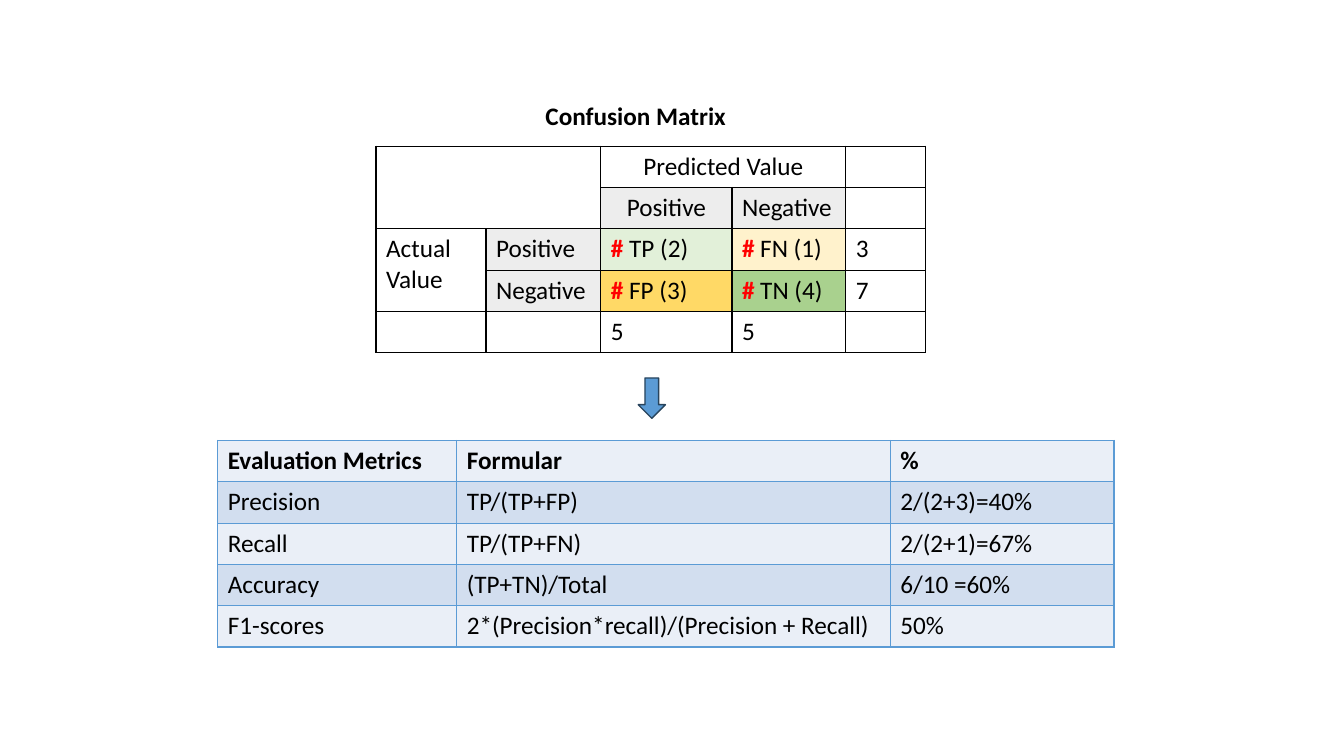
from dataclasses import dataclass, field
from itertools import product
from typing import Any

from lxml.etree import SubElement
from pptx import Presentation
from pptx.dml.color import RGBColor
from pptx.enum.shapes import MSO_SHAPE as Shape
from pptx.enum.text import MSO_ANCHOR as Anchor, MSO_AUTO_SIZE as AutoSize, PP_ALIGN as Align
from pptx.oxml.ns import qn
from pptx.util import Emu, Pt

EMU_PER_PX = 9144

BLACK = RGBColor(0x00, 0x00, 0x00)
WHITE = RGBColor(0xFF, 0xFF, 0xFF)
RED = RGBColor(0xFF, 0x00, 0x00)
BLUE = RGBColor(0x5B, 0x9B, 0xD5)
NAVY = RGBColor(0x28, 0x44, 0x5D)
LIGHT_BAND = RGBColor(0xEA, 0xEF, 0xF7)
DARK_BAND = RGBColor(0xD2, 0xDE, 0xEF)
GRAY = RGBColor(0xED, 0xED, 0xED)
PALE_GREEN = RGBColor(0xE2, 0xF0, 0xD9)
PALE_YELLOW = RGBColor(0xFF, 0xF2, 0xCC)
GOLD = RGBColor(0xFF, 0xD9, 0x66)
GREEN = RGBColor(0xA9, 0xD1, 0x8E)

TEXT_FORMAT = {"name": "Calibri", "size": Pt(18), "bold": False}
BOLD_FORMAT = TEXT_FORMAT | {"bold": True}
PLAIN_TABLE = {"first_row": False, "horz_banding": False}
ROW_HEIGHT = 41


@dataclass(frozen=True)
class CellSpec:
    text: str = ""
    fill: RGBColor = WHITE
    bold: bool = False
    align: Align = Align.LEFT
    rows: int = 1
    columns: int = 1


@dataclass(frozen=True)
class TableSpec:
    left: int
    top: int
    columns: list[int]
    border: RGBColor
    rows: list[list[CellSpec]] = field(default_factory=list)


def px(length: int) -> Emu:
    return Emu(length * EMU_PER_PX)


def apply_format(target: Any, values: dict[str, Any]) -> None:
    for name, value in values.items():
        setattr(target, name, value)


def add_run(paragraph: Any, text: str, color: RGBColor, bold: bool) -> None:
    run = paragraph.add_run()
    run.text = text
    apply_format(run.font, BOLD_FORMAT if bold else TEXT_FORMAT)
    run.font.color.rgb = color


def add_borders(cell: Any, color: RGBColor) -> None:
    properties = cell._tc.get_or_add_tcPr()
    for side in ("a:lnL", "a:lnR", "a:lnT", "a:lnB"):
        line = SubElement(properties, qn(side), w=str(Pt(1)))
        fill = SubElement(line, qn("a:solidFill"))
        SubElement(fill, qn("a:srgbClr"), val=str(color))


def fill_cell(cell: Any, cell_spec: CellSpec) -> None:
    cell.fill.solid()
    cell.fill.fore_color.rgb = cell_spec.fill
    paragraph = cell.text_frame.paragraphs[0]
    paragraph.alignment = cell_spec.align
    text = cell_spec.text
    if text.startswith("#"):
        add_run(paragraph, "#", RED, True)
        text = text.removeprefix("#")
    if text:
        add_run(paragraph, text, BLACK, cell_spec.bold)


def draw_table(slide: Any, table_spec: TableSpec) -> None:
    row_count, column_count = len(table_spec.rows), len(table_spec.columns)
    table = slide.shapes.add_table(
        row_count, column_count, px(table_spec.left), px(table_spec.top),
        px(sum(table_spec.columns)), px(ROW_HEIGHT * row_count),
    ).table
    apply_format(table, PLAIN_TABLE)
    for column, width in zip(table.columns, table_spec.columns):
        column.width = px(width)
    for row in table.rows:
        row.height = px(ROW_HEIGHT)
    for row, column in product(range(row_count), range(column_count)):
        cell, cell_spec = table.cell(row, column), table_spec.rows[row][column]
        add_borders(cell, table_spec.border)
        fill_cell(cell, cell_spec)
        if cell_spec.rows * cell_spec.columns > 1:
            cell.merge(table.cell(row + cell_spec.rows - 1, column + cell_spec.columns - 1))


def draw_title(slide: Any, text: str) -> None:
    title = slide.shapes.title
    apply_format(title, {"left": px(531), "top": px(94), "width": px(213), "height": px(40)})
    apply_format(title.text_frame, {
        "word_wrap": True, "vertical_anchor": Anchor.TOP, "auto_size": AutoSize.SHAPE_TO_FIT_TEXT,
    })
    paragraph = title.text_frame.paragraphs[0]
    paragraph.alignment = Align.LEFT
    add_run(paragraph, text, BLACK, True)


def draw_arrow(slide: Any) -> None:
    arrow = slide.shapes.add_shape(Shape.DOWN_ARROW, px(633), px(375), px(27), px(40))
    arrow.shadow.inherit = False
    arrow.fill.solid()
    arrow.fill.fore_color.rgb = BLUE
    arrow.line.color.rgb = NAVY
    arrow.line.width = Pt(1)


EMPTY = CellSpec()
POSITIVE = CellSpec("Positive", GRAY)
NEGATIVE = CellSpec("Negative", GRAY)

CONFUSION_MATRIX = TableSpec(373, 145, [109, 114, 130, 113, 79], BLACK, [
    [CellSpec(rows=2, columns=2), EMPTY,
     CellSpec("Predicted Value", align=Align.CENTER, columns=2), EMPTY, EMPTY],
    [EMPTY, EMPTY, CellSpec("Positive", GRAY, align=Align.CENTER), NEGATIVE, EMPTY],
    [CellSpec("Actual Value", rows=2), POSITIVE,
     CellSpec("# TP (2)", PALE_GREEN), CellSpec("# FN (1)", PALE_YELLOW), CellSpec("3")],
    [EMPTY, NEGATIVE, CellSpec("# FP (3)", GOLD), CellSpec("# TN (4)", GREEN), CellSpec("7")],
    [EMPTY, EMPTY, CellSpec("5"), CellSpec("5"), EMPTY],
])

METRIC_ROWS = [
    ("Evaluation Metrics", "Formular", "%"),
    ("Precision", "TP/(TP+FP)", "2/(2+3)=40%"),
    ("Recall", "TP/(TP+FN)", "2/(2+1)=67%"),
    ("Accuracy", "(TP+TN)/Total", "6/10 =60%"),
    ("F1-scores", "2*(Precision*recall)/(Precision + Recall)", "50%"),
]
METRICS = TableSpec(216, 437, [237, 430, 222], BLUE, [
    [CellSpec(text, DARK_BAND if index % 2 else LIGHT_BAND, bold=index == 0) for text in row]
    for index, row in enumerate(METRIC_ROWS)
])


def main() -> None:
    presentation = Presentation()
    apply_format(presentation, {"slide_width": px(1333), "slide_height": px(750)})
    slide = presentation.slides.add_slide(presentation.slide_layouts.get_by_name("Title Only"))
    draw_table(slide, METRICS)
    draw_table(slide, CONFUSION_MATRIX)
    draw_title(slide, "Confusion Matrix")
    draw_arrow(slide)
    presentation.save("out.pptx")


if __name__ == "__main__":
    main()
